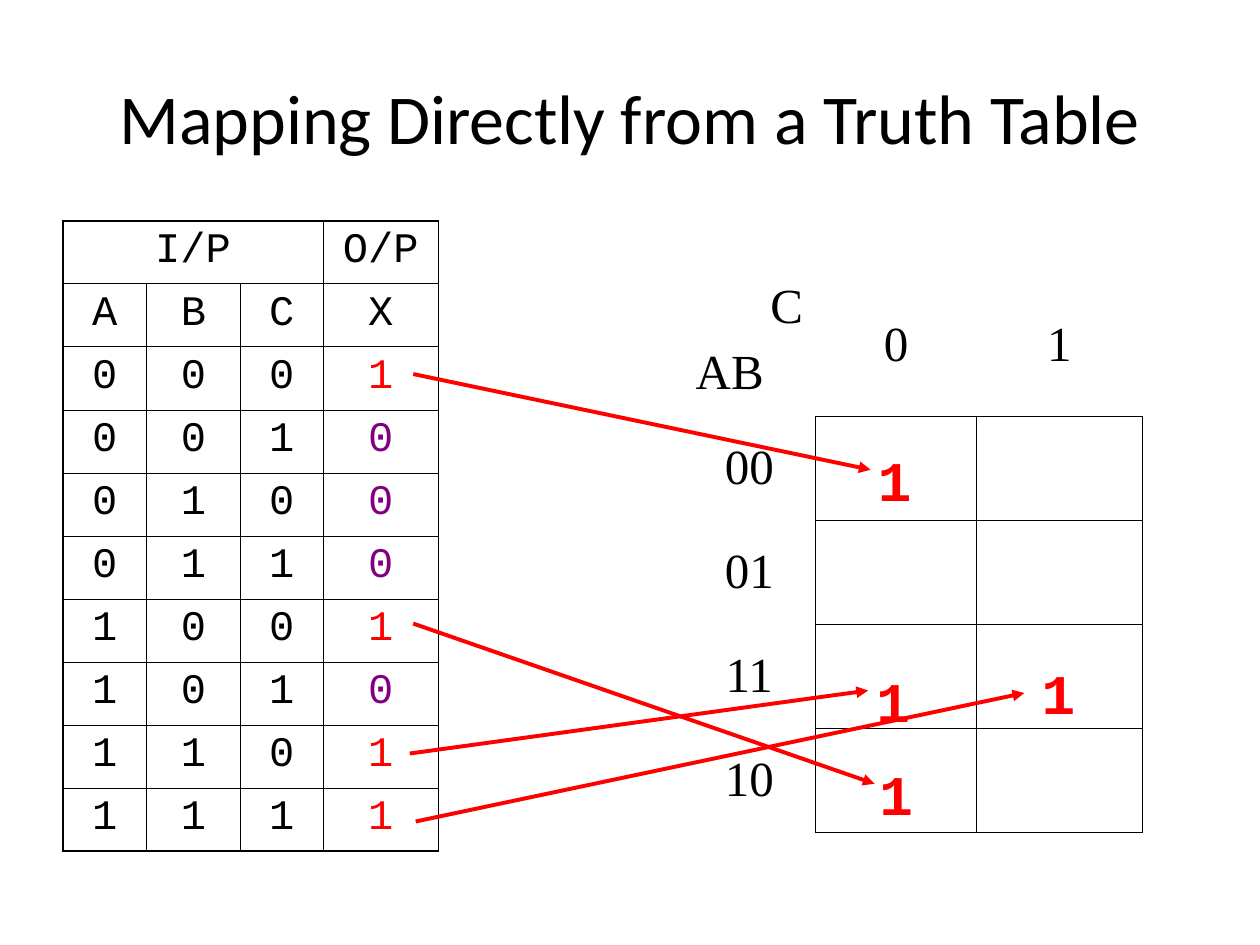
from itertools import product

from lxml.etree import SubElement
from pptx import Presentation
from pptx.dml.color import RGBColor
from pptx.enum.shapes import MSO_CONNECTOR
from pptx.enum.text import MSO_ANCHOR, MSO_AUTO_SIZE, PP_ALIGN
from pptx.oxml.ns import qn
from pptx.util import Cm, Pt

COLORS = {"black": "000000", "white": "FFFFFF", "red": "FF0000", "purple": "800080"}
NO_STYLE = "{2D5ABB26-0587-4C30-8999-92F81FD0307C}"
THIN, THICK = 0.45, 1.08
TITLE_BOX = (1.27, 0.76, 22.86, 3.18)
TRUTH_BOX = (1.27, 4.45, 7.57, 12.7)
MAP_BOX = (13.77, 5.51, 9.25, 11.27)
TRUTH_COLUMNS = (1.68, 1.9, 1.66, 2.33)
MAP_COLUMNS = (2.67, 3.25, 3.33)
MAP_HEADER_HEIGHT = 2.87
OUTPUTS = "10001011"
MARKS = ((3.68, 3.35), (3.65, 7.8), (3.71, 9.68), (6.98, 7.65))
ARROWS = (
    ((7.06, 3.09), (3.78, 3.96)),
    ((7.06, 8.12), (3.86, 10.29)),
    ((6.99, 10.74), (3.73, 8.41)),
    ((7.11, 12.11), (6.88, 8.46)),
)


def write_text(paragraph, text, size, font, color="black", bold=False,
               align=PP_ALIGN.CENTER, before=0):
    """Write one formatted run into a paragraph."""
    paragraph.alignment = align
    paragraph.space_before = Pt(before)
    run = paragraph.add_run()
    run.text = text
    run.font.size = Pt(size)
    run.font.name = font
    run.font.bold = bold
    run.font.color.rgb = RGBColor.from_string(COLORS[color])


def add_grid(slide, box, column_widths, row_heights):
    """Add a plain table with the given column widths and row heights."""
    frame = slide.shapes.add_table(len(row_heights), len(column_widths), *map(Cm, box))
    table = frame.table
    table.first_row = table.horz_banding = False
    frame._element.find(f".//{qn('a:tableStyleId')}").text = NO_STYLE
    for column, width in zip(table.columns, column_widths):
        column.width = Cm(width)
    for row, height in zip(table.rows, row_heights):
        row.height = Cm(height)
    return table


def set_borders(cell, left=0, right=0, top=0, bottom=0):
    """Draw black cell borders with widths in points, where zero means none."""
    properties = cell._tc.get_or_add_tcPr()
    for side, width in zip("LRTB", (left, right, top, bottom)):
        line = SubElement(properties, qn(f"a:ln{side}"), w=str(Pt(width)))
        if width:
            fill = SubElement(line, qn("a:solidFill"))
            SubElement(fill, qn("a:srgbClr"), val=COLORS["black"])
        else:
            SubElement(line, qn("a:noFill"))


def add_title(slide, box, text):
    """Place the slide title in its box."""
    frame = slide.shapes.add_textbox(*map(Cm, box)).text_frame
    frame.word_wrap = True
    frame.vertical_anchor = MSO_ANCHOR.MIDDLE
    write_text(frame.paragraphs[0], text, size=40, font="Calibri")


def add_truth_table(slide, box):
    """Place the truth table with its inputs and output."""
    rows = [("I/P", "", "", "O/P"), tuple("ABCX")]
    rows += [(*bits, output) for bits, output in zip(product("01", repeat=3), OUTPUTS)]
    table = add_grid(slide, box, TRUTH_COLUMNS, [box[3] / len(rows)] * len(rows))
    table.cell(0, 0).merge(table.cell(0, 2))
    last_row, last_column = len(rows) - 1, len(TRUTH_COLUMNS) - 1
    for row, values in enumerate(rows):
        for column, value in enumerate(values):
            cell = table.cell(row, column)
            set_borders(
                cell,
                left=THIN if column else THICK,
                right=THICK if column == last_column else THIN,
                top=THIN if row else THICK,
                bottom=THICK if row == last_row else THIN,
            )
            cell.fill.solid()
            cell.fill.fore_color.rgb = RGBColor.from_string(COLORS["white"])
            color = "black"
            if row > 1 and column == last_column:
                color = "red" if value == "1" else "purple"
            if value:
                write_text(cell.text_frame.paragraphs[0], value, size=24,
                           font="Courier New", color=color, before=6)


def add_karnaugh_map(slide, box):
    """Place the Karnaugh map grid, its labels and its marked ones."""
    left, top, _, height = box
    labels = ("00", "01", "11", "10")
    row_height = (height - MAP_HEADER_HEIGHT) / len(labels)
    table = add_grid(slide, box, MAP_COLUMNS,
                     [MAP_HEADER_HEIGHT] + [row_height] * len(labels))
    rows = [("", "0", "1")] + [(label, "", "") for label in labels]
    label_format = {"size": 28, "font": "Times New Roman", "before": 7}
    for row, values in enumerate(rows):
        for column, value in enumerate(values):
            cell = table.cell(row, column)
            inside = THIN if row and column else 0
            set_borders(cell, left=inside, right=THIN if row else 0,
                        top=inside, bottom=THIN if column else 0)
            cell.fill.background()
            if value:
                cell.vertical_anchor = MSO_ANCHOR.MIDDLE
                write_text(cell.text_frame.paragraphs[0], value, **label_format)
    corner = table.cell(0, 0).text_frame
    write_text(corner.paragraphs[0], "C", align=PP_ALIGN.RIGHT, **label_format)
    write_text(corner.add_paragraph(), "AB", align=PP_ALIGN.LEFT, **label_format)
    for x, y in MARKS:
        frame = slide.shapes.add_textbox(
            Cm(left + x), Cm(top + y), Cm(1.17), Cm(1.63)).text_frame
        frame.word_wrap = False
        frame.auto_size = MSO_AUTO_SIZE.SHAPE_TO_FIT_TEXT
        write_text(frame.paragraphs[0], "1", size=32, font="Courier New",
                   color="red", bold=True, align=PP_ALIGN.LEFT)


def add_mapping_arrows(slide, source_box, target_box):
    """Lead each true output to its cell in the map."""
    for start, end in ARROWS:
        connector = slide.shapes.add_connector(
            MSO_CONNECTOR.STRAIGHT,
            Cm(source_box[0] + start[0]), Cm(source_box[1] + start[1]),
            Cm(target_box[0] + end[0]), Cm(target_box[1] + end[1]))
        connector.line.color.rgb = RGBColor.from_string(COLORS["red"])
        connector.line.width = Pt(2.25)
        SubElement(connector.line._get_or_add_ln(), qn("a:tailEnd"), type="triangle")
        SubElement(connector._element.spPr, qn("a:effectLst"))


def main():
    """Build the slide and save it."""
    presentation = Presentation()
    presentation.slide_width, presentation.slide_height = Cm(25.4), Cm(19.05)
    slide = presentation.slides.add_slide(presentation.slide_layouts[6])
    add_title(slide, TITLE_BOX, "Mapping Directly from a Truth Table")
    add_truth_table(slide, TRUTH_BOX)
    add_karnaugh_map(slide, MAP_BOX)
    add_mapping_arrows(slide, TRUTH_BOX, MAP_BOX)
    presentation.save("out.pptx")


if __name__ == "__main__":
    main()
